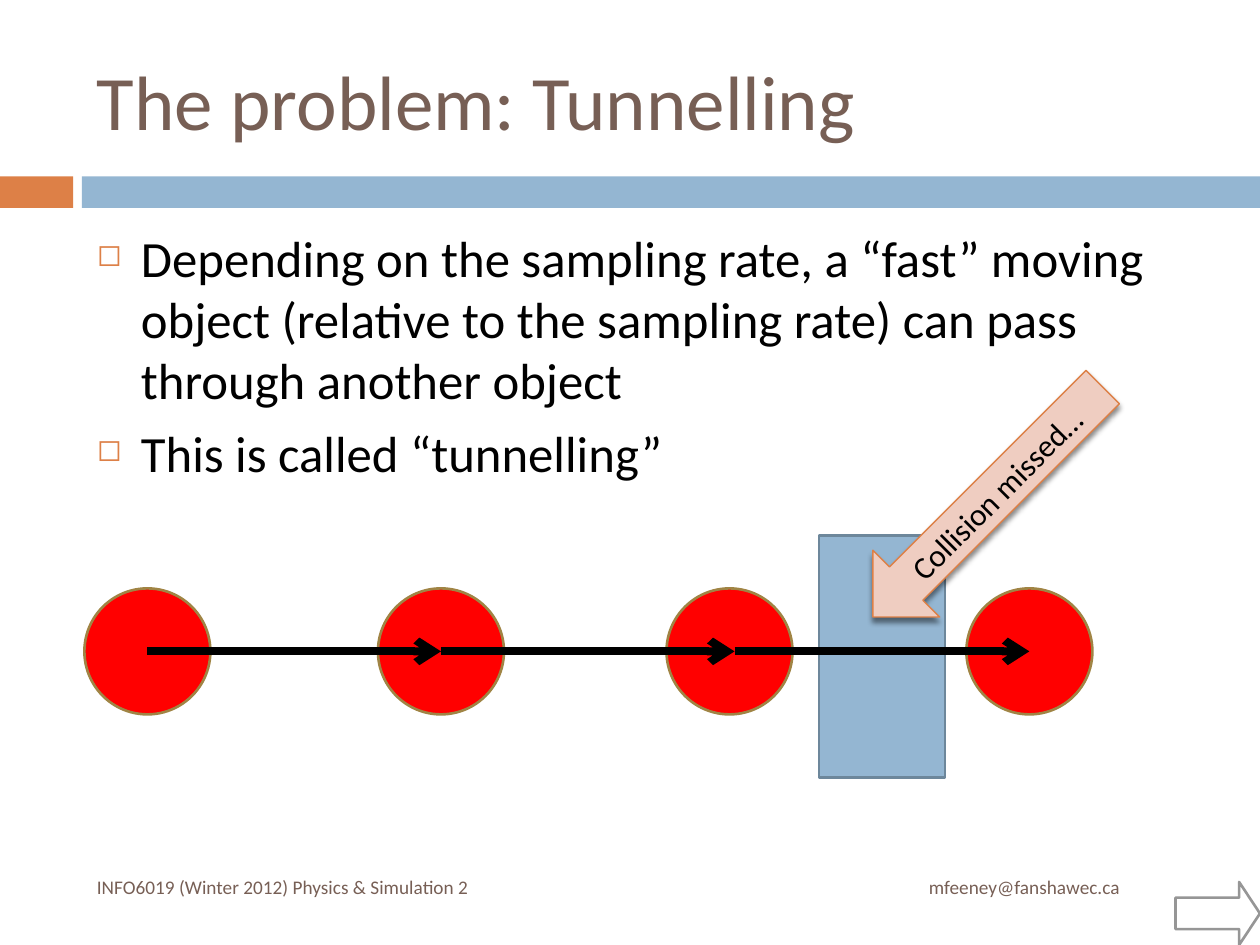
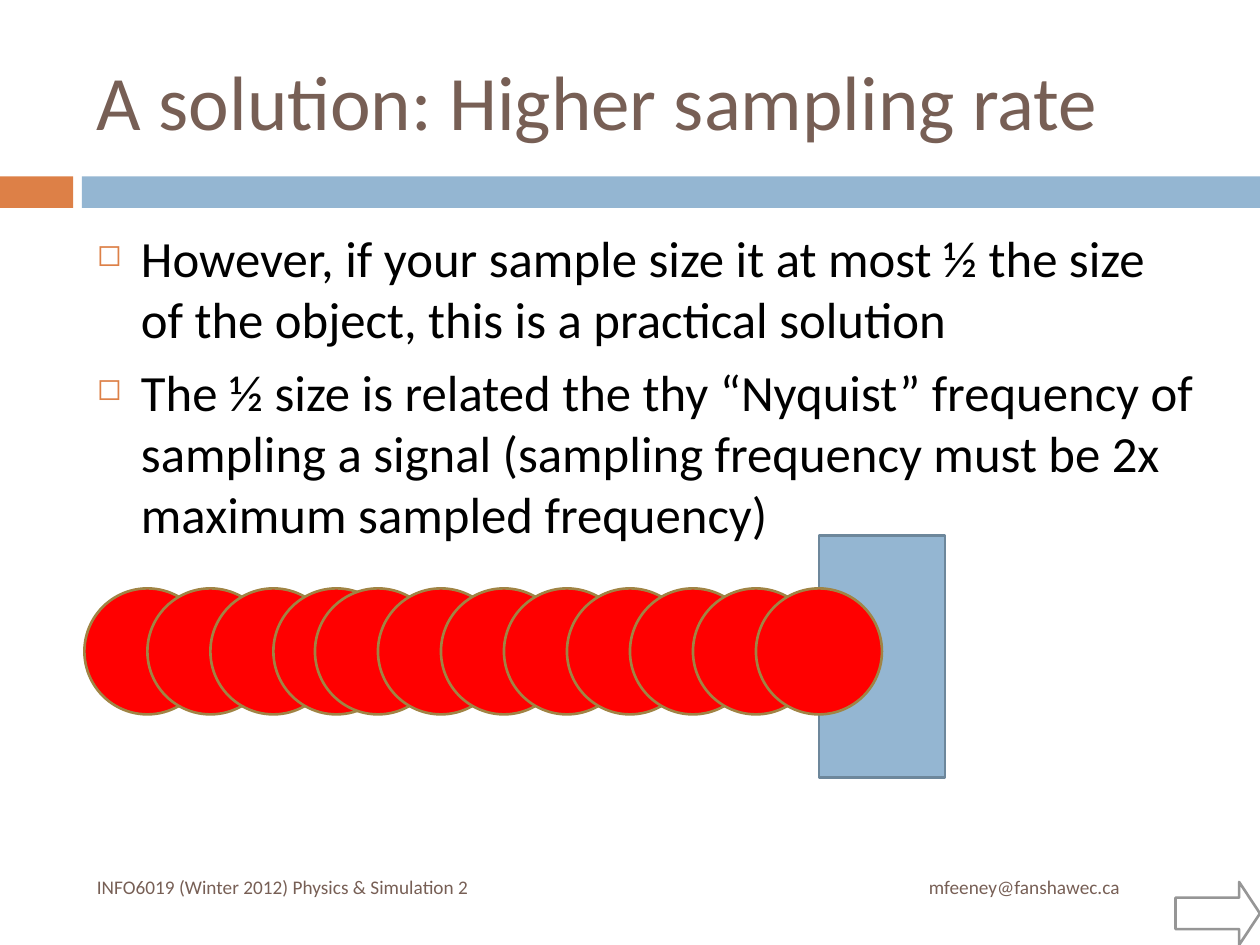
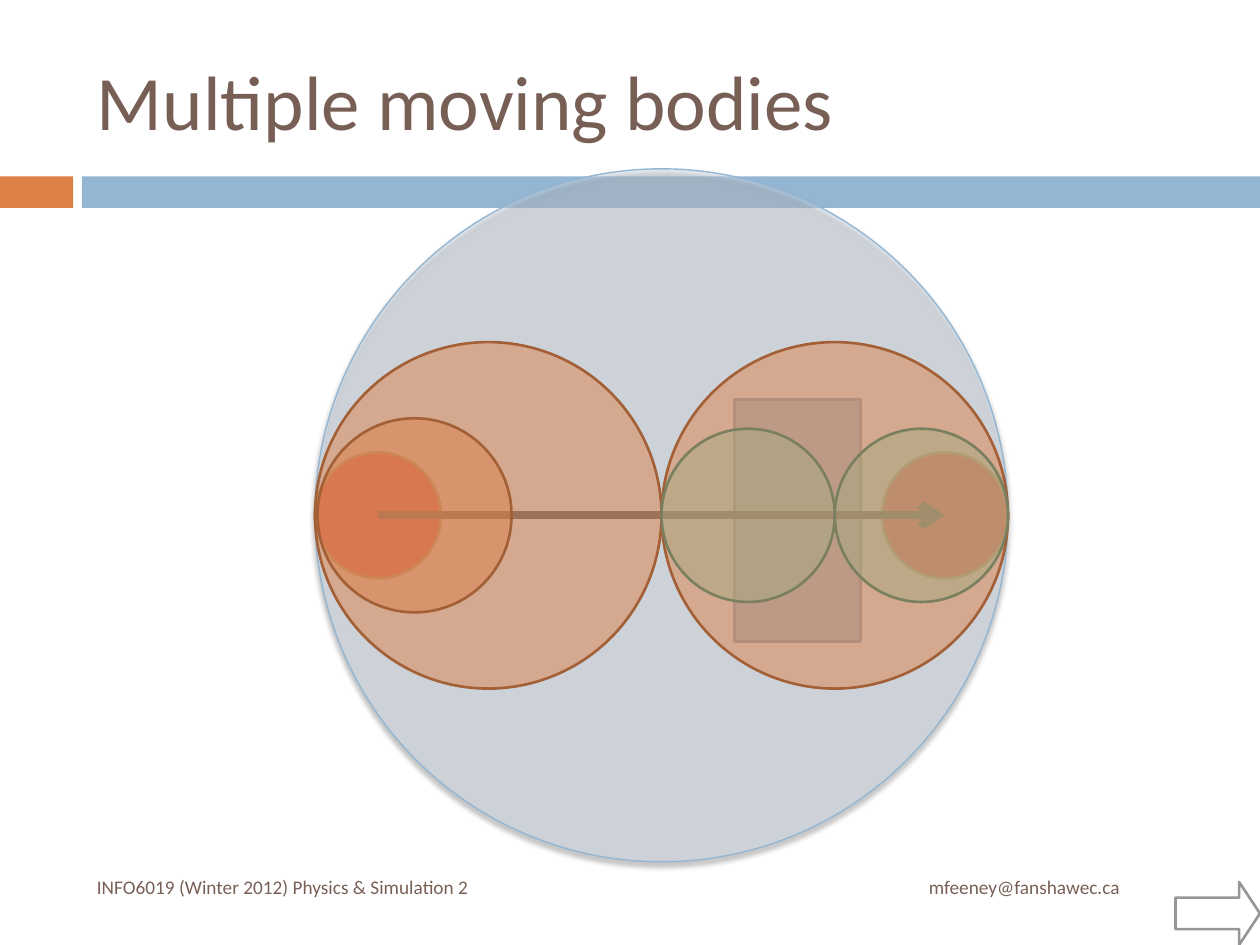
from lxml.etree import SubElement as Sub
from pptx import Presentation
from pptx.dml.color import RGBColor
from pptx.enum.shapes import MSO_CONNECTOR as Link, MSO_SHAPE as Form
from pptx.enum.text import MSO_ANCHOR as Anchor, PP_ALIGN as Align
from pptx.oxml.ns import qn
from pptx.util import Inches, Pt

FONT = "Calibri"
BROWN, ORANGE, BLUE, BLACK = "775F55", "DD8047", "94B6D2", "000000"
LEFT, WIDE = 0.67, 8.92

BANDS = [(0, 0.58, ORANGE), (0.65, 9.35, BLUE)]
FEET = [
    ("INFO6019 (Winter 2012) Physics & Simulation 2", LEFT, 5.93, Align.LEFT),
    ("mfeeney@fanshawec.ca", 6.67, 2.92, Align.CENTER),
]

# form, fill, opacity, line, line width, shadow
STYLES = {
    "ball": (Form.OVAL, "FF0000", 100, "A08444", 1.5, False),
    "wall": (Form.RECTANGLE, BLUE, 100, "6D879B", 1.5, False),
    "next": (Form.RIGHT_ARROW, None, 100, "969696", 1.5, False),
    "note": (Form.LEFT_ARROW, "EFCDC1", 100, ORANGE, 0.79, True),
    "bound": (Form.OVAL, "D2DEEA", 46, BLUE, 0.79, True),
    "half": (Form.OVAL, ORANGE, 49, "A35F35", 1.5, False),
    "part": (Form.OVAL, "A5AB81", 48, "7A7F5F", 1.5, False),
}

TOP, MID = 4.67, 5.17
WALL = ("wall", 6.5, 4.25, 1, 1.92)
STEPS = [LEFT + 0.5 * i for i in range(4)] + [2.5 + 0.5 * i for i in range(8)]
SPAN, AXIS = 5.5, 4.09


def inner(kind, left, size):
    return kind, left, AXIS - size / 2, size, size


SLIDES = [
    (
        "The problem: Tunnelling",
        [
            "Depending on the sampling rate, a “fast” moving object (relative to the sampling rate) can pass through another object",
            "This is called “tunnelling”",
        ],
        [
            WALL,
            ("ball", LEFT, TOP, 1, 1),
            ("ball", 3, TOP, 1, 1),
            ("move", 1.17, 3.5, MID),
            ("ball", 5.29, TOP, 1, 1),
            ("move", 3.5, 5.83, MID),
            ("ball", 7.67, TOP, 1, 1),
            ("move", 5.83, 8.17, MID),
            ("note", 6.55, 3.61, 2.58, 0.75),
        ],
    ),
    (
        "A solution: Higher sampling rate",
        [
            "However, if your sample size it at most ½ the size of the object, this is a practical solution",
            "The ½ size is related the thy “Nyquist” frequency of sampling a signal (sampling frequency must be 2x maximum sampled frequency)",
        ],
        [WALL] + [("ball", x, TOP, 1, 1) for x in STEPS],
    ),
    (
        "Multiple moving bodies",
        [],
        [
            inner("ball", 7, 1),
            ("wall", 5.83, 3.17, 1, 1.92),
            inner("ball", 2.5, 1),
            ("move", 3, 7.5, AXIS),
            inner("bound", 2.5, SPAN),
            inner("half", 2.5, SPAN / 2),
            inner("half", 2.5 + SPAN / 2, SPAN / 2),
            inner("part", 2.5 + SPAN / 2, SPAN / 4),
            inner("part", 2.5 + SPAN * 3 / 4, SPAN / 4),
            inner("half", 2.52, 1.54),
        ],
    ),
]


def color(code):
    return RGBColor.from_string(code)


def style(para, size, code, align=Align.LEFT):
    para.alignment = align
    for run in para.runs:
        run.font.name, run.font.size = FONT, Pt(size)
        run.font.color.rgb = color(code)


def label(slide, text, box, size, code, align=Align.LEFT, anchor=Anchor.TOP):
    frame = slide.shapes.add_textbox(*map(Inches, box)).text_frame
    frame.word_wrap = True
    frame.vertical_anchor = anchor
    frame.text = text
    for para in frame.paragraphs:
        style(para, size, code, align)
    return frame


def bullet(para):
    props = para._p.get_or_add_pPr()
    props.set("marL", str(Inches(0.35)))
    props.set("indent", str(Inches(-0.35)))
    Sub(Sub(props, qn("a:buClr")), qn("a:srgbClr"), val=ORANGE)
    Sub(props, qn("a:buSzPct"), val="60000")
    Sub(props, qn("a:buChar"), char="◻")


def shade(shape):
    effects = shape.element.spPr.find(qn("a:effectLst"))
    outer = Sub(effects, qn("a:outerShdw"), blurRad=str(Pt(3)),
                dist=str(Pt(2.4)), dir="5400000", rotWithShape="0")
    Sub(Sub(outer, qn("a:srgbClr"), val=BLACK), qn("a:alpha"), val="45000")


def paint(shape, fill, alpha=100):
    shape.shadow.inherit = False
    if fill is None:
        shape.fill.background()
        return
    shape.fill.solid()
    shape.fill.fore_color.rgb = color(fill)
    if alpha < 100:
        tone = shape.element.spPr.find(qn("a:solidFill"))[0]
        Sub(tone, qn("a:alpha"), val=str(alpha * 1000))


def draw(slide, kind, *box):
    form, fill, alpha, line, width, shadow = STYLES[kind]
    shape = slide.shapes.add_shape(form, *map(Inches, box))
    paint(shape, fill, alpha)
    shape.line.color.rgb = color(line)
    shape.line.width = Pt(width)
    if shadow:
        shade(shape)
    return shape


def move(slide, start, end, y):
    link = slide.shapes.add_connector(
        Link.STRAIGHT, *map(Inches, (start, y, end, y)))
    link.line.color.rgb = color(BLACK)
    link.line.width = Pt(4.5)
    props = link.element.spPr
    Sub(props.find(qn("a:ln")), qn("a:tailEnd"), type="arrow")
    Sub(props, qn("a:effectLst"))


def note(slide, *box):
    shape = draw(slide, "note", *box)
    shape.rotation = 315
    frame = shape.text_frame
    frame.text = "Collision missed…"
    frame.vertical_anchor = Anchor.MIDDLE
    style(frame.paragraphs[0], 18, BLACK, Align.CENTER)


def base(slide, title):
    for left, width, fill in BANDS:
        band = slide.shapes.add_shape(
            Form.RECTANGLE, *map(Inches, (left, 1.4, width, 0.25)))
        paint(band, fill)
        band.line.fill.background()
    for text, left, width, align in FEET:
        label(slide, text, (left, 6.9, width, 0.29), 11, BROWN, align)
    label(slide, title, (LEFT, 0.25, WIDE, 1.08), 44, BROWN,
          anchor=Anchor.MIDDLE)


def body(slide, points):
    frame = label(slide, "\n".join(points), (LEFT, 1.75, WIDE, 4.92), 29, BLACK)
    for i, para in enumerate(frame.paragraphs):
        bullet(para)
        if i:
            para.space_before = Pt(7)


def main():
    deck = Presentation()
    deck.slide_width, deck.slide_height = Inches(10), Inches(7.5)
    special = {"move": move, "note": note}
    for title, points, parts in SLIDES:
        slide = deck.slides.add_slide(deck.slide_layouts[6])
        base(slide, title)
        if points:
            body(slide, points)
        arrow = draw(slide, "next", 9.33, 7, 0.67, 0.5)
        arrow.adjustments[1] = 0.33
        for kind, *place in parts:
            if kind in special:
                special[kind](slide, *place)
            else:
                draw(slide, kind, *place)
    deck.save("out.pptx")


if __name__ == "__main__":
    main()
